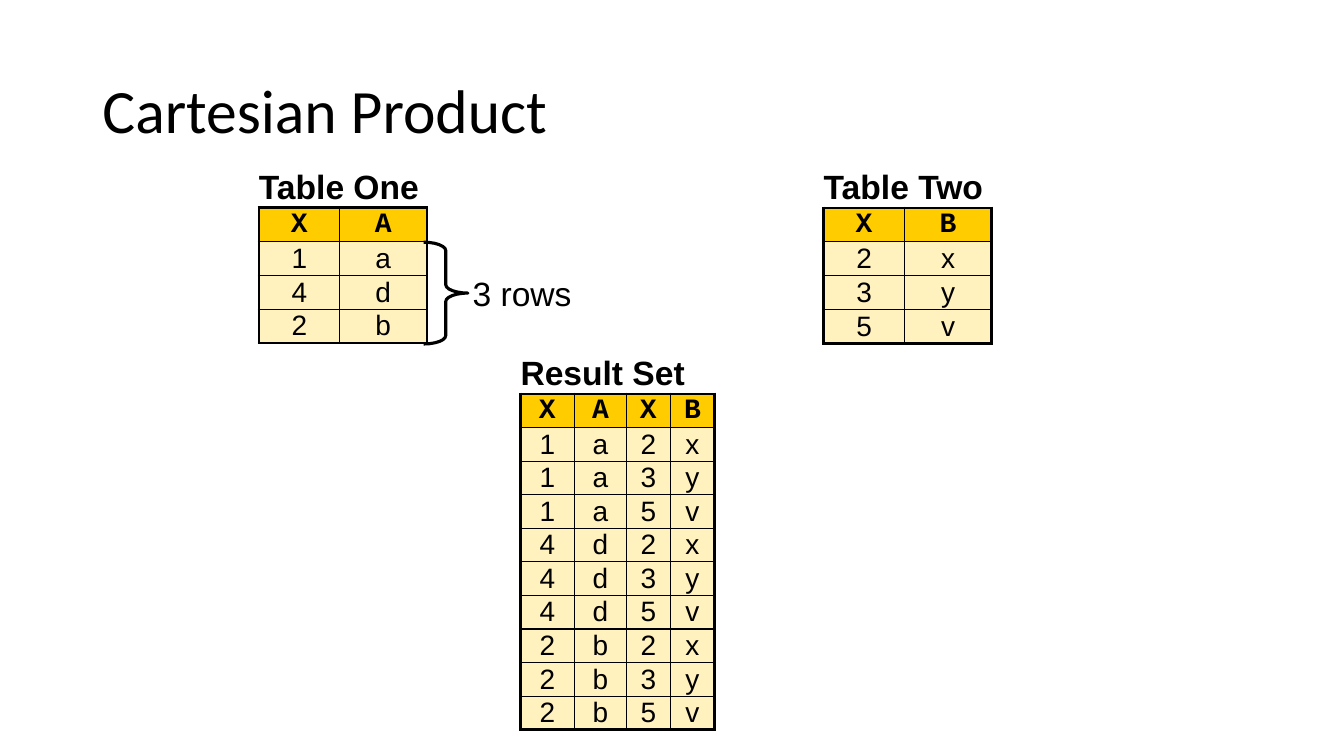
"""Build the Cartesian Product slide: two source tables and their result set."""
from itertools import product

from lxml import etree
from pptx import Presentation
from pptx.dml.color import RGBColor
from pptx.enum import shapes, text
from pptx.oxml import ns
from pptx.util import Pt


def style_run(paragraph, content, size, font_name="Arial", bold=False):
    run = paragraph.add_run()
    run.text = content
    run.font.name = font_name
    run.font.size = Pt(size)
    run.font.bold = bold
    run.font.color.rgb = RGBColor.from_string("000000")


def set_borders(cell, widths):
    properties = cell._tc.get_or_add_tcPr()
    for index, (side, width) in enumerate(zip("LRTB", widths)):
        line = etree.Element(ns.qn(f"a:ln{side}"))
        if width:
            line.set("w", str(Pt(width)))
            fill = etree.SubElement(line, ns.qn("a:solidFill"))
            etree.SubElement(fill, ns.qn("a:srgbClr"), val="000000")
        else:
            etree.SubElement(line, ns.qn("a:noFill"))
        properties.insert(index, line)


presentation = Presentation()
presentation.slide_width = Pt(960)
presentation.slide_height = Pt(540)
slide = presentation.slides.add_slide(presentation.slide_layouts[5])

title = slide.shapes.title
title.left, title.top, title.width, title.height = Pt(66), Pt(28.8), Pt(828), Pt(104.4)
title.text_frame.vertical_anchor = text.MSO_ANCHOR.MIDDLE
title.text_frame.auto_size = text.MSO_AUTO_SIZE.NONE
title_paragraph = title.text_frame.paragraphs[0]
title_paragraph.alignment = text.PP_ALIGN.LEFT
title_paragraph.line_spacing = 0.9
style_run(title_paragraph, "Cartesian Product", 44, "Calibri")

thick, thin = 2.25, 1
caption_height = 28.8
one_rows = [("1", "a"), ("4", "d"), ("2", "b")]
two_rows = [("2", "x"), ("3", "y"), ("5", "v")]
result_rows = [one + two for one, two in product(one_rows, two_rows)]
source_columns = (57.6, 62.4)
tables = [
    ("Table One", 185, 119.5, source_columns, 24.2, [("X", "A")] + one_rows),
    ("Table Two", 588.4, 119.8, source_columns, 24.2, [("X", "B")] + two_rows),
    ("Result Set", 371.8, 252.6, (38.4, 37.4, 31.2, 31.8), 24, [("X", "A", "X", "B")] + result_rows),
]

for caption, left, top, column_widths, row_height, rows in tables:
    table = slide.shapes.add_table(
        len(rows) + 1, len(column_widths), Pt(left), Pt(top),
        Pt(sum(column_widths)), Pt(caption_height + row_height * len(rows))).table
    table.first_row = table.horz_banding = False
    style = table._tbl.tblPr.find(ns.qn("a:tableStyleId"))
    style.text = "{2D5ABB26-0587-4C30-8999-92F81FD0307C}"
    for column, width in zip(table.columns, column_widths):
        column.width = Pt(width)
    for row in table.rows:
        row.height = Pt(row_height)
    table.rows[0].height = Pt(caption_height)

    last_column = len(column_widths) - 1
    caption_cell = table.cell(0, 0)
    caption_cell.merge(table.cell(0, last_column))
    caption_cell.margin_left = caption_cell.margin_right = 0
    caption_cell.margin_top = caption_cell.margin_bottom = 0
    caption_cell.vertical_anchor = text.MSO_ANCHOR.MIDDLE
    style_run(caption_cell.text_frame.paragraphs[0], caption, 24, bold=True)
    for column_index in range(last_column + 1):
        set_borders(table.cell(0, column_index), (0, 0, 0, thick))

    for row_index, values in enumerate(rows, start=1):
        is_header = row_index == 1
        for column_index, value in enumerate(values):
            cell = table.cell(row_index, column_index)
            cell.margin_left = cell.margin_right = Pt(7.2)
            cell.margin_top = cell.margin_bottom = 0
            cell.vertical_anchor = text.MSO_ANCHOR.MIDDLE
            cell.fill.solid()
            cell.fill.fore_color.rgb = RGBColor.from_string("FFCC00" if is_header else "FFF2BE")
            paragraph = cell.text_frame.paragraphs[0]
            paragraph.alignment = text.PP_ALIGN.CENTER
            style_run(paragraph, value, 20, "Courier New" if is_header else "Arial", is_header)
            outer_edges = (column_index == 0, column_index == last_column,
                           is_header, row_index == len(rows))
            set_borders(cell, [thick if outer else thin for outer in outer_edges])

brace = slide.shapes.add_shape(
    shapes.MSO_SHAPE.RIGHT_BRACE, Pt(302.6), Pt(173), Pt(31.6), Pt(72.7))
brace.shadow.inherit = False
brace.adjustments[0] = 0.19
brace.adjustments[1] = 0.5
brace.fill.background()
brace.line.color.rgb = RGBColor.from_string("000000")
brace.line.width = Pt(thick)

row_count = slide.shapes.add_textbox(Pt(330.5), Pt(188), Pt(85.7), Pt(43.2))
row_count_frame = row_count.text_frame
row_count_frame.word_wrap = False
row_count_frame.auto_size = text.MSO_AUTO_SIZE.SHAPE_TO_FIT_TEXT
row_count_frame.margin_left = row_count_frame.margin_right = Pt(7.2)
row_count_frame.margin_top = row_count_frame.margin_bottom = Pt(7.2)
style_run(row_count_frame.paragraphs[0], "3 rows", 24)

presentation.save("out.pptx")
